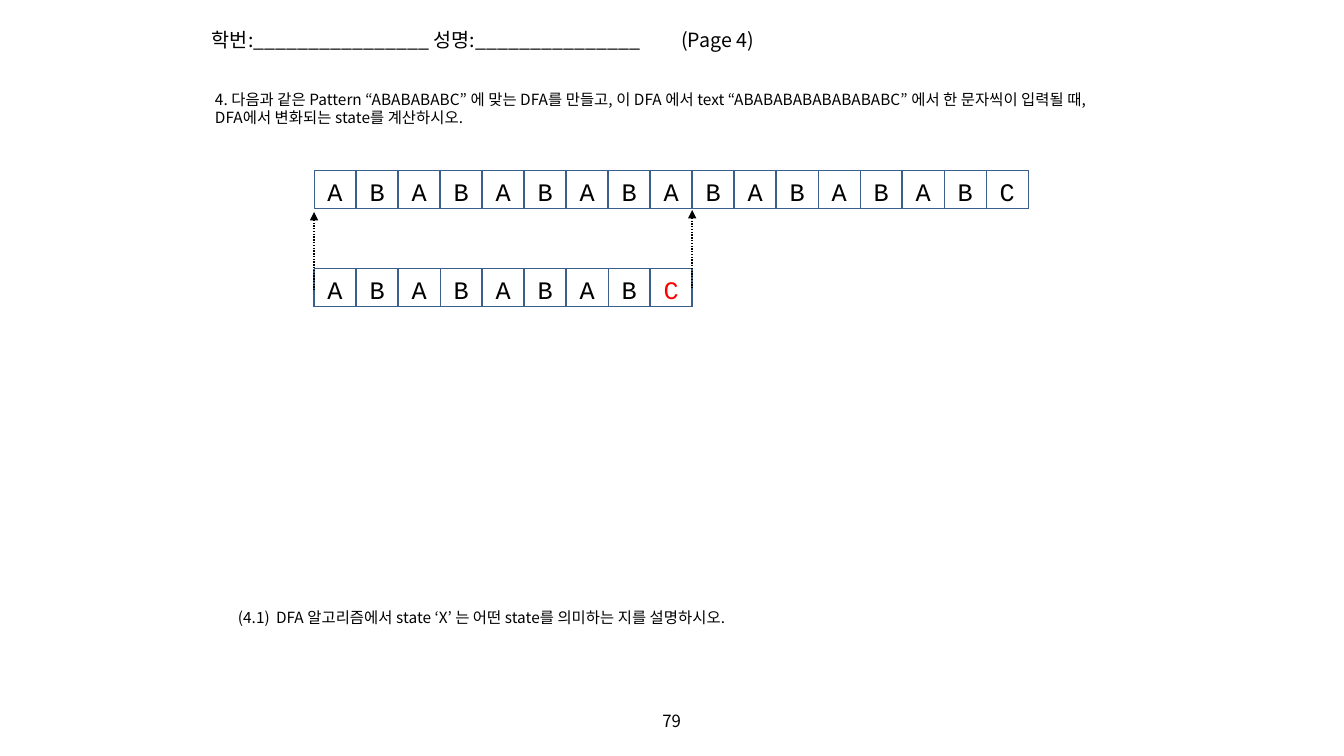
from lxml.etree import SubElement
from pptx import Presentation
from pptx.dml.color import RGBColor
from pptx.enum.dml import MSO_LINE
from pptx.enum.shapes import MSO_CONNECTOR, MSO_SHAPE
from pptx.enum.text import MSO_ANCHOR, MSO_AUTO_SIZE, PP_ALIGN
from pptx.oxml.ns import qn
from pptx.util import Emu, Inches, Pt

BLACK = RGBColor(0x00, 0x00, 0x00)
RED = RGBColor(0xFF, 0x00, 0x00)
BLUE = RGBColor(0x3A, 0x5F, 0x8C)
BODY_FONT = "Noto Sans CJK KR"
CODE_FONT = "Courier New"
CELL_W, CELL_H = 42, 38
ROW_X, TEXT_Y, PATTERN_Y = 314, 171, 269


def px(n):
    return Emu(round(n * 914400 / 100.8))


class ExamSlide:
    def __init__(self, prs):
        self.s = prs.slides.add_slide(prs.slide_layouts[6])

    def add_text_run(self, p, text, size, font, color=BLACK):
        r = p.add_run()
        r.text = text
        r.font.size = Pt(size)
        r.font.name = font
        r.font.color.rgb = color
        SubElement(r._r.get_or_add_rPr(), qn("a:ea"), typeface=font)

    def text(self, x, y, w, h, text, size, tab=None):
        sp = self.s.shapes.add_textbox(px(x), px(y), px(w), px(h))
        tf = sp.text_frame
        tf.word_wrap = True
        tf.auto_size = MSO_AUTO_SIZE.SHAPE_TO_FIT_TEXT
        p = tf.paragraphs[0]
        if tab:
            tabs = SubElement(p._p.get_or_add_pPr(), qn("a:tabLst"))
            SubElement(tabs, qn("a:tab"), pos=str(px(tab)), algn="l")
        self.add_text_run(p, text, size, BODY_FONT)
        return sp

    def page_number(self, x, y, w, h, text):
        tf = self.text(x, y, w, h, text, 12).text_frame
        tf.auto_size = MSO_AUTO_SIZE.NONE
        tf.vertical_anchor = MSO_ANCHOR.MIDDLE
        tf.paragraphs[0].alignment = PP_ALIGN.CENTER

    def line(self, x, y1, y2, color):
        c = self.s.shapes.add_connector(MSO_CONNECTOR.STRAIGHT, px(x), px(y1), px(x), px(y2))
        c.line.color.rgb = color
        c.line.width = Pt(1)
        SubElement(c._element.spPr, qn("a:effectLst"))
        return c

    def arrow(self, x, tip, end):
        c = self.line(x, tip, end, BLACK)
        c.line.dash_style = MSO_LINE.ROUND_DOT
        SubElement(c._element.spPr.find(qn("a:ln")), qn("a:headEnd"), type="triangle")

    def cell(self, x, y, letter, color):
        sp = self.s.shapes.add_shape(MSO_SHAPE.RECTANGLE, px(x), px(y), px(CELL_W), px(CELL_H))
        sp.shadow.inherit = False
        sp.fill.background()
        sp.line.color.rgb = BLUE
        sp.line.width = Pt(0.75)
        tf = sp.text_frame
        tf.vertical_anchor = MSO_ANCHOR.TOP
        p = tf.paragraphs[0]
        p.alignment = PP_ALIGN.CENTER
        self.add_text_run(p, letter, 18, CODE_FONT, color)

    def row(self, y, letters, dividers, c_color=BLACK):
        for i, letter in enumerate(letters):
            self.cell(ROW_X + i * CELL_W, y, letter, c_color if letter == "C" else BLACK)
        for i in dividers:
            self.line(ROW_X + i * CELL_W, y, y + CELL_H, BLUE)


def main():
    prs = Presentation()
    prs.slide_width, prs.slide_height = Inches(13.33), Inches(7.5)
    exam = ExamSlide(prs)
    exam.page_number(515, 701, 313, 40, "79")
    exam.row(TEXT_Y, "AB" * 8 + "C", [*range(1, 15), 16, 17])
    exam.row(PATTERN_Y, "AB" * 4 + "C", [0, 1, 2, 4, 5, 6, 8, 9], RED)
    exam.arrow(ROW_X, 212, 290)
    exam.arrow(ROW_X + 9 * CELL_W, 210, 288)
    exam.text(202, 23, 616, 34, "학번:________________ 성명:_______________\t(Page 4)", 14, 469)
    exam.text(205, 85, 905, 47,
              "4. 다음과 같은 Pattern “ABABABABC” 에 맞는 DFA를 만들고, 이 DFA 에서 "
              "text “ABABABABABABABABC” 에서 한 문자씩이 입력될 때, DFA에서 변화되는 "
              "state를 계산하시오.", 11)
    exam.text(228, 603, 905, 29,
              "(4.1)\tDFA 알고리즘에서 state ‘X’ 는 어떤 state를 의미하는 지를 설명하시오.", 11, 38)
    prs.save("out.pptx")


if __name__ == "__main__":
    main()
